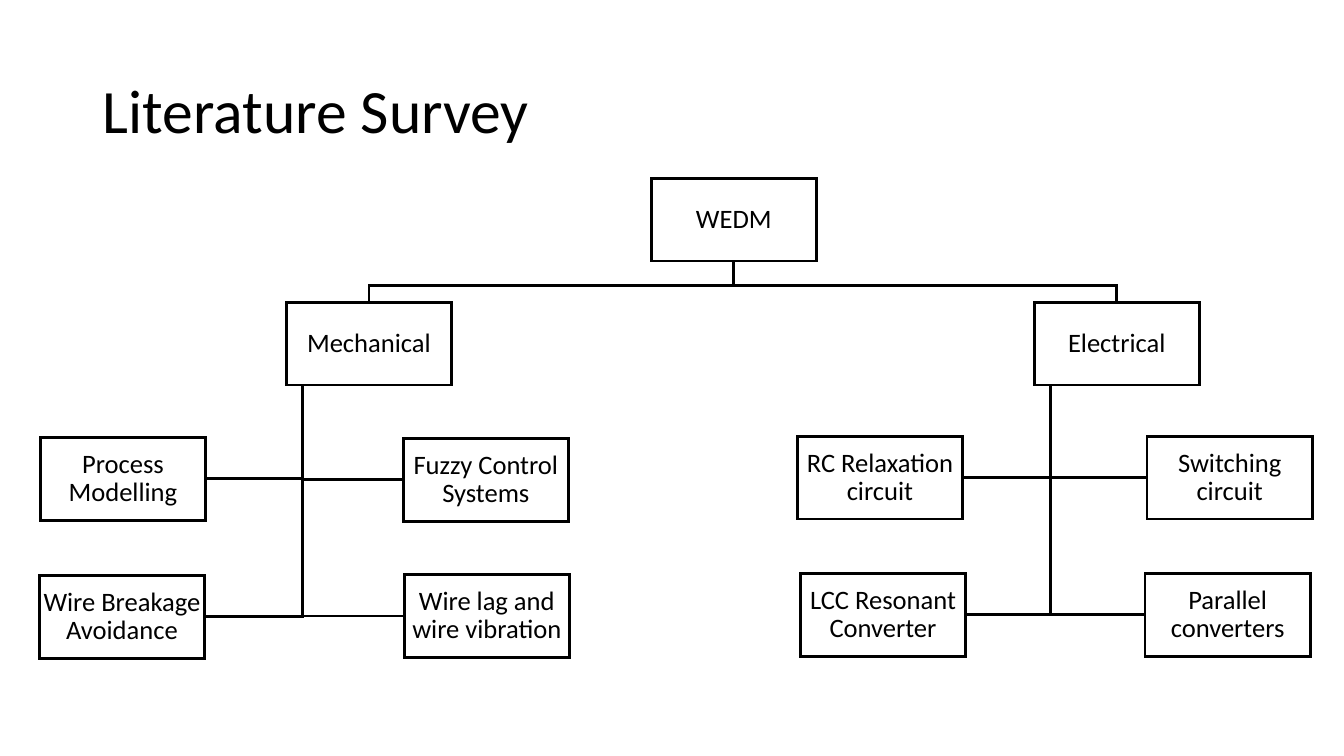
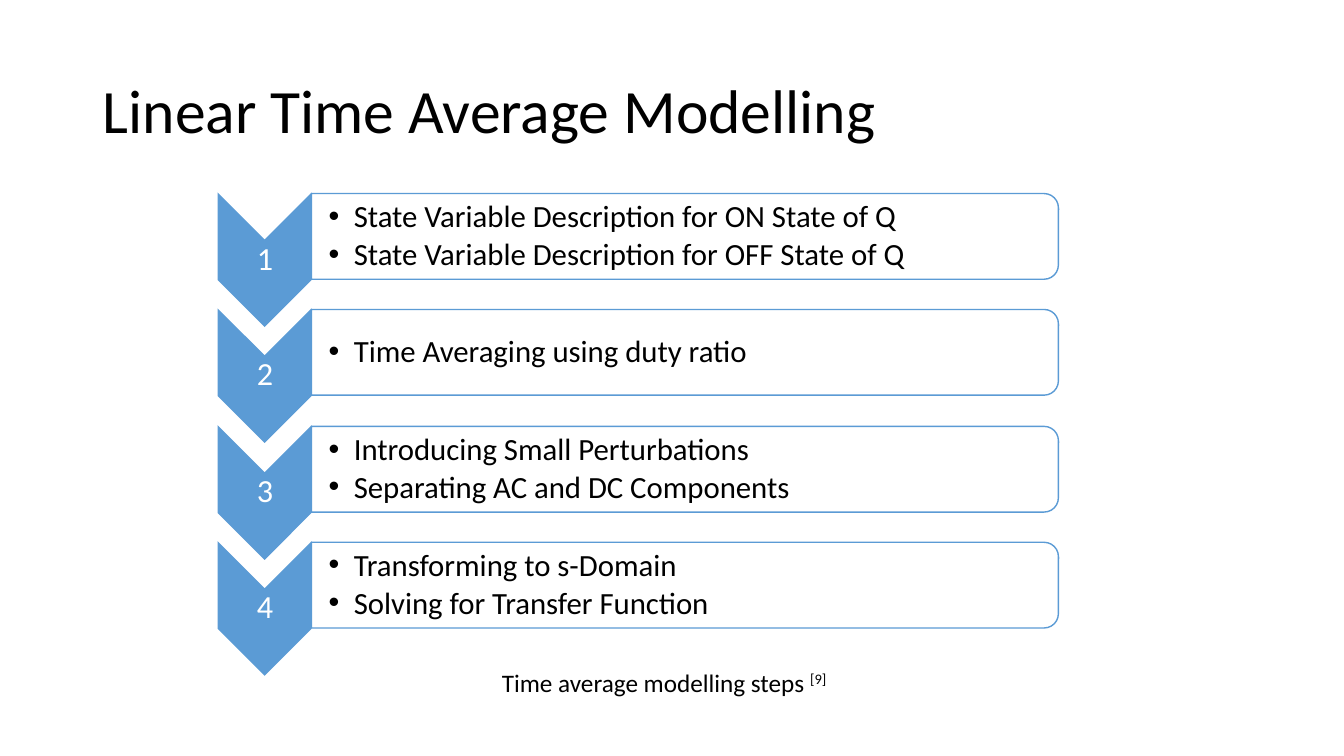
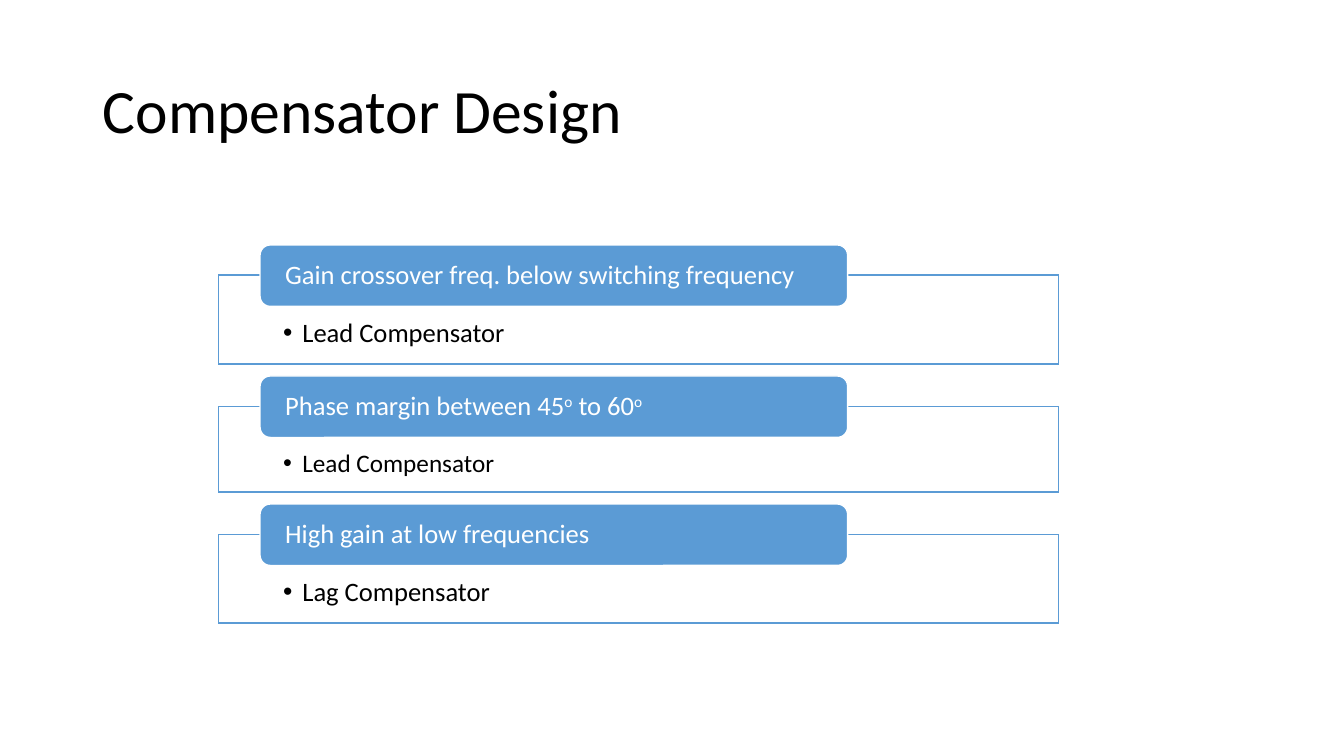
from dataclasses import dataclass

from lxml import etree
from pptx import Presentation
from pptx.dml.color import RGBColor
from pptx.enum.shapes import MSO_SHAPE
from pptx.enum.text import MSO_ANCHOR, MSO_AUTO_SIZE, PP_ALIGN
from pptx.oxml.ns import qn
from pptx.presentation import Presentation as Deck
from pptx.shapes.autoshape import Shape
from pptx.slide import Slide
from pptx.text.text import TextFrame
from pptx.util import Emu, Pt

RECT = MSO_SHAPE.RECTANGLE
ROUND_RECT = MSO_SHAPE.ROUNDED_RECTANGLE
ROUND_TOP = MSO_SHAPE.ROUND_2_SAME_RECTANGLE
CHEVRON = MSO_SHAPE.CHEVRON
LEFT, CENTER = PP_ALIGN.LEFT, PP_ALIGN.CENTER
TOP, MIDDLE = MSO_ANCHOR.TOP, MSO_ANCHOR.MIDDLE
FIT_SHAPE = MSO_AUTO_SIZE.SHAPE_TO_FIT_TEXT

EMU_PER_PX = 9144
FONT = "Calibri"
COLORS = {"ink": "000000", "paper": "FFFFFF", "accent": "5B9BD5"}
TITLE_ONLY = 5


@dataclass(frozen=True)
class Box:
    left: int
    top: int
    width: int
    height: int

    @property
    def center_x(self) -> int:
        return self.left + self.width // 2

    @property
    def center_y(self) -> int:
        return self.top + self.height // 2

    @property
    def bottom(self) -> int:
        return self.top + self.height

    def quarter_turned(self) -> "Box":
        shift = (self.width - self.height) // 2
        return Box(self.left + shift, self.top - shift, self.height, self.width)


@dataclass(frozen=True)
class TextStyle:
    size: int
    color: str = "ink"
    align: PP_ALIGN = LEFT
    anchor: MSO_ANCHOR = MIDDLE
    insets: tuple[int, int, int, int] = (10, 5, 10, 5)
    line_spacing: float = 0.9
    space_share: float = 0.0
    bullet_indent: int = 0
    wrap: bool = True


@dataclass(frozen=True)
class Leaf:
    label: str
    left: int
    top: int


@dataclass(frozen=True)
class Branch:
    label: str
    left: int
    leaves: tuple[Leaf, ...]


@dataclass(frozen=True)
class Goal:
    heading: tuple[str, ...]
    remedy: str
    height: int
    remedy_size: int


TITLE_BOX = Box(92, 40, 1150, 145)
TITLE_STYLE = TextStyle(44)

NODE_STYLE = TextStyle(19, align=CENTER, insets=(1, 1, 1, 1), space_share=0.35)
NODE_WIDTH, NODE_HEIGHT = 164, 82
ROOT_LEFT, ROOT_TOP = 646, 177
BUS_Y, BRANCH_TOP, STEM_OFFSET = 283, 300, 16
BRANCHES = (
    Branch("Mechanical", 284, (
        Leaf("Process Modelling", 40, 434),
        Leaf("Fuzzy Control Systems", 400, 435),
        Leaf("Wire Breakage Avoidance", 39, 571),
        Leaf("Wire lag and wire vibration", 401, 570),
    )),
    Branch("Electrical", 1026, (
        Leaf("RC Relaxation circuit", 791, 433),
        Leaf("Switching circuit", 1138, 433),
        Leaf("LCC Resonant Converter", 794, 569),
        Leaf("Parallel converters", 1136, 569),
    )),
)

STEP_STYLE = TextStyle(22, insets=(17, 2, 2, 2), space_share=0.15, bullet_indent=25)
NUMBER_STYLE = TextStyle(23, "paper", CENTER, insets=(2, 2, 2, 2), space_share=0.35)
CAPTION_STYLE = TextStyle(18, anchor=TOP, line_spacing=1.0, wrap=False)
FIRST_STEP_TOP, LAST_STEP_TOP = 192, 538
STEPS = (
    ("State Variable Description for ON State of Q",
     "State Variable Description for OFF State of Q"),
    ("Time Averaging using duty ratio",),
    ("Introducing Small Perturbations", "Separating AC and DC Components"),
    ("Transforming to s-Domain", "Solving for Transfer Function"),
)

HEADING_STYLE = TextStyle(19, "paper", insets=(22, 0, 22, 0), space_share=0.35)
FIRST_GOAL_TOP, GOAL_GAP, HEADING_RISE = 273, 42, 30
GOALS = (
    Goal(("Gain crossover freq. below switching frequency",), "Lead Compensator", 88, 19),
    Goal(("Phase margin between 45", "o", " to 60", "o"), "Lead Compensator", 85, 18),
    Goal(("High gain at low frequencies",), "Lag Compensator", 88, 19),
)


def px(length: int) -> Emu:
    return Emu(length * EMU_PER_PX)


def rgb(name: str) -> RGBColor:
    return RGBColor.from_string(COLORS[name])


def frame(box: Box) -> tuple[Emu, Emu, Emu, Emu]:
    return px(box.left), px(box.top), px(box.width), px(box.height)


def write_text(text_frame: TextFrame, lines: tuple[tuple[str, ...], ...], style: TextStyle) -> None:
    """Each line alternates normal and superscript pieces."""
    text_frame.word_wrap = style.wrap
    text_frame.vertical_anchor = style.anchor
    (text_frame.margin_left, text_frame.margin_top,
     text_frame.margin_right, text_frame.margin_bottom) = map(px, style.insets)
    for index, pieces in enumerate(lines):
        paragraph = text_frame.add_paragraph() if index else text_frame.paragraphs[0]
        paragraph.text = pieces[0]
        for piece in pieces[1:]:
            paragraph.add_run().text = piece
        paragraph.alignment = style.align
        paragraph.line_spacing = style.line_spacing
        paragraph.space_after = Pt(style.size * style.space_share)
        for position, run in enumerate(paragraph.runs):
            run.font.name = FONT
            run.font.size = Pt(style.size)
            run.font.color.rgb = rgb(style.color)
            if position % 2:
                run.font._element.set("baseline", "30000")
        if style.bullet_indent:
            properties = paragraph._p.get_or_add_pPr()
            properties.set("marL", str(px(style.bullet_indent)))
            properties.set("indent", str(-px(style.bullet_indent)))
            etree.SubElement(properties, qn("a:buFont")).set("typeface", "Arial")
            etree.SubElement(properties, qn("a:buChar")).set("char", "•")


def set_outline(shape: Shape, color: str, width: int) -> None:
    shape.shadow.inherit = False
    shape.line.color.rgb = rgb(color)
    shape.line.width = Pt(width)
    outline = shape._element.spPr.find(qn("a:ln"))
    etree.SubElement(outline, qn("a:miter")).set("lim", "800000")


def add_panel(slide: Slide, kind: MSO_SHAPE, box: Box, fill: str | None, line: str,
              line_width: int = 1, opacity: int = 100) -> Shape:
    panel = slide.shapes.add_shape(kind, *frame(box))
    set_outline(panel, line, line_width)
    if fill is None:
        panel.fill.background()
        return panel
    panel.fill.solid()
    panel.fill.fore_color.rgb = rgb(fill)
    if opacity < 100:
        color = panel._element.spPr.find(qn("a:solidFill"))[0]
        etree.SubElement(color, qn("a:alpha")).set("val", str(opacity * 1000))
    return panel


def add_label(slide: Slide, box: Box, lines: tuple[tuple[str, ...], ...],
              style: TextStyle) -> Shape:
    label = slide.shapes.add_textbox(*frame(box))
    write_text(label.text_frame, lines, style)
    return label


def add_elbow(slide: Slide, start: tuple[int, int], *bends: tuple[int, int]) -> None:
    builder = slide.shapes.build_freeform(*start, scale=EMU_PER_PX)
    builder.add_line_segments(bends, close=False)
    elbow = builder.convert_to_shape()
    elbow.fill.background()
    set_outline(elbow, "ink", 2)


def add_titled_slide(deck: Deck, title: str) -> Slide:
    slide = deck.slides.add_slide(deck.slide_layouts[TITLE_ONLY])
    write_text(slide.shapes.title.text_frame, ((title,),), TITLE_STYLE)
    return slide


def node_box(left: int, top: int) -> Box:
    return Box(left, top, NODE_WIDTH, NODE_HEIGHT)


def add_node(slide: Slide, label: str, box: Box) -> None:
    node = add_panel(slide, RECT, box, None, "ink", line_width=2)
    write_text(node.text_frame, ((label,),), NODE_STYLE)


def add_branch(slide: Slide, branch: Branch, root: Box) -> None:
    box = node_box(branch.left, BRANCH_TOP)
    add_elbow(slide, (root.center_x, root.bottom), (root.center_x, BUS_Y),
              (box.center_x, BUS_Y), (box.center_x, box.top))
    add_node(slide, branch.label, box)
    stem_x = box.left + STEM_OFFSET
    for leaf in branch.leaves:
        leaf_box = node_box(leaf.left, leaf.top)
        edge_x = leaf.left + (NODE_WIDTH if leaf.left < stem_x else 0)
        add_elbow(slide, (stem_x, box.bottom), (stem_x, leaf_box.center_y),
                  (edge_x, leaf_box.center_y))
        add_node(slide, leaf.label, leaf_box)


def build_survey(deck: Deck) -> None:
    slide = add_titled_slide(deck, "Literature Survey")
    root = node_box(ROOT_LEFT, ROOT_TOP)
    add_node(slide, "WEDM", root)
    for branch in BRANCHES:
        add_branch(slide, branch, root)


def build_modelling(deck: Deck) -> None:
    slide = add_titled_slide(deck, "Linear Time Average Modelling")
    pitch = (LAST_STEP_TOP - FIRST_STEP_TOP) / (len(STEPS) - 1)
    for index, step in enumerate(STEPS):
        top = round(FIRST_STEP_TOP + index * pitch)
        arrow = add_panel(slide, CHEVRON, Box(217, top, 92, 131).quarter_turned(),
                          "accent", "accent")
        card = add_panel(slide, ROUND_TOP, Box(309, top, 741, 85).quarter_turned(),
                         "paper", "accent", opacity=90)
        arrow.rotation = card.rotation = 90
        add_label(slide, Box(217, top + 46, 92, 39), ((str(index + 1),),), NUMBER_STYLE)
        add_label(slide, Box(309, top + 4, 737, 77), tuple((line,) for line in step), STEP_STYLE)
    caption = add_label(slide, Box(488, 657, 358, 40),
                        (("Time average modelling steps ", "[9]"),), CAPTION_STYLE)
    caption.text_frame.auto_size = FIT_SHAPE


def build_compensator(deck: Deck) -> None:
    slide = add_titled_slide(deck, "Compensator Design")
    top = FIRST_GOAL_TOP
    for goal in GOALS:
        remedy = add_panel(slide, RECT, Box(217, top, 833, goal.height),
                           "paper", "accent", opacity=90)
        remedy_style = TextStyle(goal.remedy_size, anchor=TOP, insets=(64, 44, 65, 14),
                                 space_share=0.15, bullet_indent=19)
        write_text(remedy.text_frame, ((goal.remedy,),), remedy_style)
        heading = add_panel(slide, ROUND_RECT, Box(258, top - HEADING_RISE, 583, 61),
                            "accent", "paper")
        write_text(heading.text_frame, (goal.heading,), HEADING_STYLE)
        top += goal.height + GOAL_GAP


def main() -> None:
    deck = Presentation()
    deck.slide_width, deck.slide_height = Emu(px(4000) // 3), px(750)
    layout_title = deck.slide_layouts[TITLE_ONLY].placeholders[0]
    (layout_title.left, layout_title.top,
     layout_title.width, layout_title.height) = frame(TITLE_BOX)
    build_survey(deck)
    build_modelling(deck)
    build_compensator(deck)
    deck.save("out.pptx")


if __name__ == "__main__":
    main()
